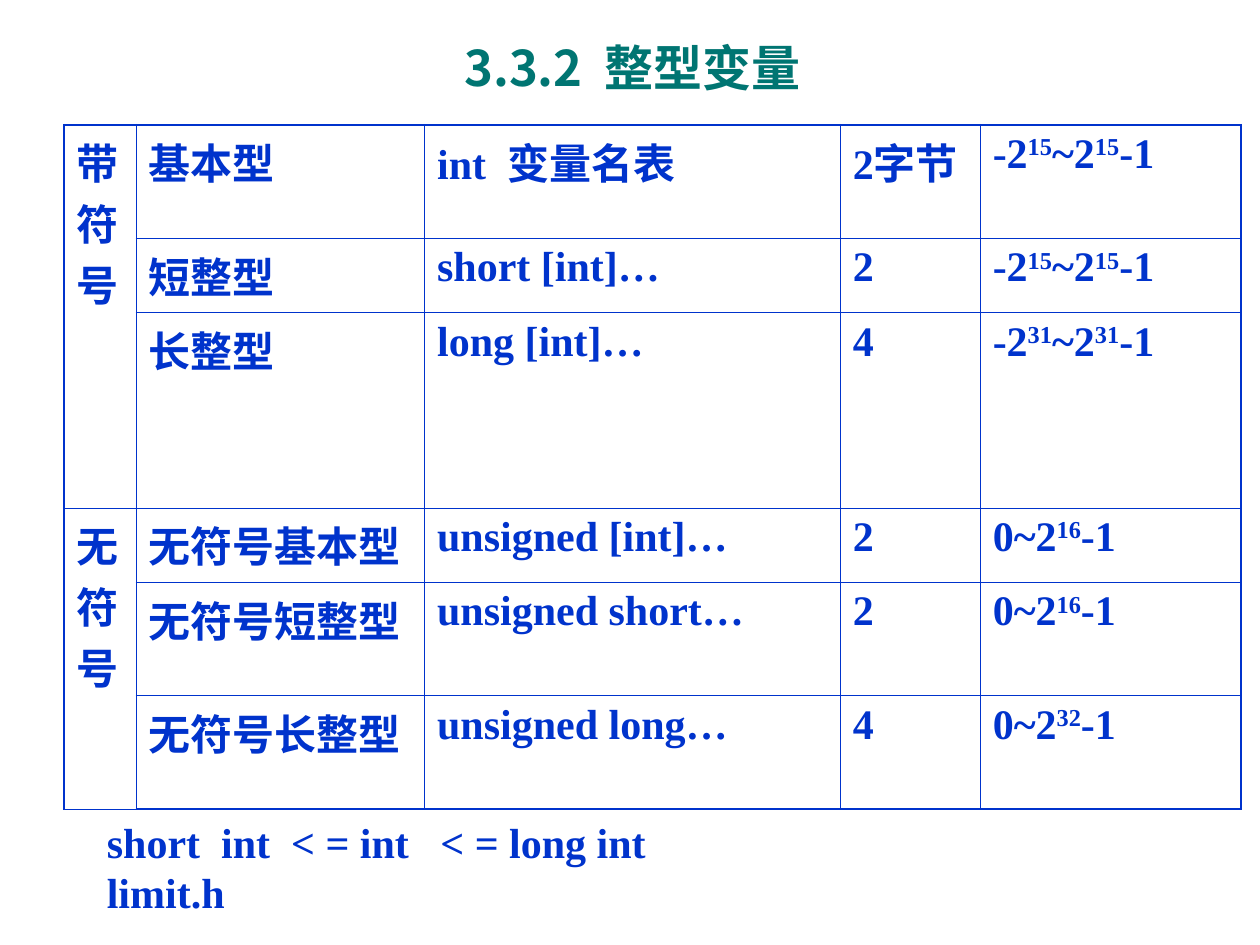
from pptx import Presentation
from pptx.dml.color import RGBColor
from pptx.enum.text import MSO_ANCHOR, MSO_AUTO_SIZE, PP_ALIGN
from pptx.oxml.ns import qn
from pptx.util import Inches, Pt
from lxml.etree import SubElement

BLUE = "0033CC"
HAN = "Noto Sans CJK SC"
PLAIN = {"size": Pt(24), "bold": True, "name": "Times New Roman"}
HEAD = {"size": Pt(28), "bold": True, "name": HAN}

COLS = [0.57, 2.29, 3.3, 1.11, 2.07]
ROWS = [0.9, 0.59, 1.55, 0.59, 0.9, 0.9]
SPAN = 3
CELLS = [
    ["带符号", "基本型", "int  变量名表", "2字节", "-2^15^~2^15^-1"],
    ["", "短整型", "short [int]…", "2", "-2^15^~2^15^-1"],
    ["", "长整型", "long [int]…", "4", "-2^31^~2^31^-1"],
    ["无符号", "无符号基本型", "unsigned [int]…", "2", "0~2^16^-1"],
    ["", "无符号短整型", "unsigned short…", "2", "0~2^16^-1"],
    ["", "无符号长整型", "unsigned long…", "4", "0~2^32^-1"],
]


def paint(item, color):
    item.rgb = RGBColor.from_string(color)


def place(shape, *box):
    for name, size in zip(("left", "top", "width", "height"), box):
        setattr(shape, name, Inches(size))


def write(para, text, form, color):
    for i, part in enumerate(text.split("^")):
        run = para.add_run()
        run.text = part
        for key, value in form.items():
            setattr(run.font, key, value)
        paint(run.font.color, color)
        props = run.font._element
        SubElement(props, qn("a:ea"), typeface=HAN)
        if i % 2:
            props.set("baseline", "30000")


def edge(cell, side, width):
    line = SubElement(cell._tc.get_or_add_tcPr(), qn("a:ln" + side), w=str(Pt(width)))
    fill = SubElement(line, qn("a:solidFill"))
    SubElement(fill, qn("a:srgbClr"), val=BLUE)


def add_title(slide, text):
    title = slide.shapes.title
    place(title, 0.35, 0.28, 9.34, 0.51)
    frame = title.text_frame
    frame.vertical_anchor = MSO_ANCHOR.MIDDLE
    para = frame.paragraphs[0]
    para.alignment = PP_ALIGN.CENTER
    write(para, text, HEAD, "007572")


def add_grid(slide):
    box = map(Inches, (0.51, 0.99, sum(COLS), sum(ROWS)))
    table = slide.shapes.add_table(len(ROWS), len(COLS), *box).table
    table.first_row = table.horz_banding = False
    for col, width in zip(table.columns, COLS):
        col.width = Inches(width)
    for row, height in zip(table.rows, ROWS):
        row.height = Inches(height)
    for r, texts in enumerate(CELLS):
        for c, text in enumerate(texts):
            cell = table.cell(r, c)
            outer = {"L": c == 0, "R": c == len(COLS) - 1,
                     "T": r == 0, "B": r == len(ROWS) - 1}
            for side, rim in outer.items():
                edge(cell, side, 1.08 if rim else 0.45)
            cell.fill.background()
            if text:
                write(cell.text_frame.paragraphs[0], text, PLAIN, BLUE)
    for r in range(0, len(ROWS), SPAN):
        table.cell(r, 0).merge(table.cell(r + SPAN - 1, 0))


def add_note(slide, lines):
    box = slide.shapes.add_textbox(*map(Inches, (0.75, 6.43, 7.4, 0.9)))
    frame = box.text_frame
    frame.word_wrap = True
    frame.auto_size = MSO_AUTO_SIZE.SHAPE_TO_FIT_TEXT
    for i, line in enumerate(lines):
        para = frame.add_paragraph() if i else frame.paragraphs[0]
        write(para, line, PLAIN, BLUE)


def main():
    deck = Presentation()
    deck.slide_width, deck.slide_height = Inches(10), Inches(7.5)
    slide = deck.slides.add_slide(deck.slide_layouts[5])
    add_title(slide, "3.3.2  整型变量")
    add_grid(slide)
    add_note(slide, ["short  int  < = int   < = long int", "limit.h"])
    deck.save("out.pptx")


if __name__ == "__main__":
    main()
